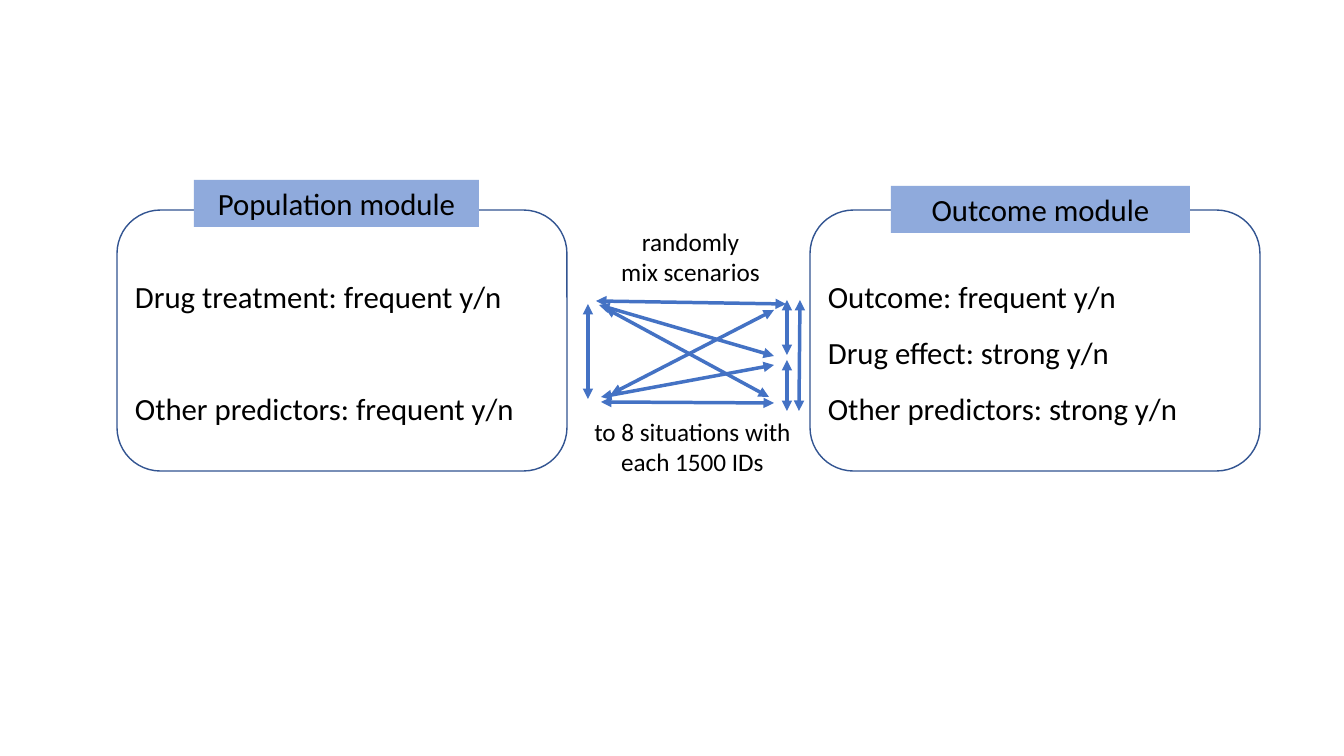
"""Build the slide showing how population and outcome modules are mixed."""
from dataclasses import dataclass

from lxml import etree
from pptx import Presentation
from pptx.dml.color import RGBColor
from pptx.enum.shapes import MSO_CONNECTOR, MSO_SHAPE
from pptx.enum.text import MSO_ANCHOR, PP_ALIGN
from pptx.oxml.ns import qn
from pptx.shapes.autoshape import Shape
from pptx.slide import Slide
from pptx.util import Emu, Pt

ROUNDED, RECTANGLE = MSO_SHAPE.ROUNDED_RECTANGLE, MSO_SHAPE.RECTANGLE
STRAIGHT = MSO_CONNECTOR.STRAIGHT
LEFT, CENTER = PP_ALIGN.LEFT, PP_ALIGN.CENTER
TOP, MIDDLE = MSO_ANCHOR.TOP, MSO_ANCHOR.MIDDLE
EMU_PER_PIXEL = 914400 / 100.8
BLANK_LAYOUT = 6
OUTLINE, HEADING_FILL, ARROW_COLOR, TEXT_COLOR = "325491", "8FAADC", "4472C4", "000000"
FRAME_TOP, FRAME_WIDTH, FRAME_HEIGHT = 210, 450, 261
ROW_TOP, ROW_STEP, ROW_HEIGHT = 273, 56, 47
ROW_INDENT, ROW_WIDTH = 8, 440


@dataclass(frozen=True)
class Box:
    """Position and size in pixels."""

    left: int
    top: int
    width: int
    height: int

    def emu(self) -> tuple[Emu, ...]:
        """Return the box in EMU."""
        return tuple(map(pixels, (self.left, self.top, self.width, self.height)))


@dataclass(frozen=True)
class Module:
    """A framed module with a heading and statements keyed by row."""

    left: int
    heading: str
    heading_box: Box
    statements: dict[int, str]


@dataclass(frozen=True)
class Caption:
    """A centred remark beside the arrows."""

    lines: tuple[str, ...]
    box: Box


@dataclass(frozen=True)
class Arrow:
    """A double-headed arrow between two points in pixels."""

    start: tuple[int, int]
    end: tuple[int, int]


MODULES = (
    Module(117, "Population module", Box(194, 180, 285, 47),
           {0: "Drug treatment: frequent y/n", 2: "Other predictors: frequent y/n"}),
    Module(810, "Outcome module", Box(891, 186, 299, 47),
           {0: "Outcome: frequent y/n", 1: "Drug effect: strong y/n",
            2: "Other predictors: strong y/n"}),
)
CAPTIONS = (
    Caption(("randomly", "mix scenarios"), Box(601, 221, 179, 72)),
    Caption(("to 8 situations with each 1500 IDs",), Box(574, 411, 237, 72)),
)
ARROWS = (
    Arrow((588, 304), (588, 399)),
    Arrow((787, 360), (787, 411)),
    Arrow((774, 310), (611, 394)),
    Arrow((787, 300), (787, 355)),
    Arrow((800, 300), (799, 411)),
    Arrow((774, 365), (601, 397)),
    Arrow((774, 403), (601, 402)),
    Arrow((786, 304), (596, 301)),
    Arrow((774, 356), (599, 305)),
    Arrow((769, 397), (605, 308)),
)


def pixels(length: int) -> Emu:
    """Convert pixels to EMU."""
    return Emu(round(length * EMU_PER_PIXEL))


def color(value: str) -> RGBColor:
    """Convert a hex string to a colour."""
    return RGBColor.from_string(value)


def apply(target: object, values: dict[str, object]) -> None:
    """Set each format value on the target."""
    for name, value in values.items():
        setattr(target, name, value)


def write(shape: Shape, lines: tuple[str, ...], size: int,
          alignment: PP_ALIGN, anchor: MSO_ANCHOR = TOP) -> None:
    """Fill the shape with one paragraph per line."""
    frame = shape.text_frame
    apply(frame, {"text": "\n".join(lines), "word_wrap": True, "vertical_anchor": anchor})
    for paragraph in frame.paragraphs:
        paragraph.alignment = alignment
        for run in paragraph.runs:
            apply(run.font, {"name": "Calibri", "size": Pt(size)})
            run.font.color.rgb = color(TEXT_COLOR)


def draw_frame(slide: Slide, module: Module) -> None:
    """Draw the rounded outline of a module."""
    box = Box(module.left, FRAME_TOP, FRAME_WIDTH, FRAME_HEIGHT)
    shape = slide.shapes.add_shape(ROUNDED, *box.emu())
    shape.shadow.inherit = False
    shape.fill.background()
    shape.line.color.rgb = color(OUTLINE)
    shape.line.width = Pt(1)


def draw_heading(slide: Slide, module: Module) -> None:
    """Draw the filled heading of a module."""
    shape = slide.shapes.add_shape(RECTANGLE, *module.heading_box.emu())
    shape.shadow.inherit = False
    shape.fill.solid()
    shape.fill.fore_color.rgb = color(HEADING_FILL)
    shape.line.fill.background()
    write(shape, (module.heading,), 22, CENTER, MIDDLE)


def draw_statements(slide: Slide, module: Module) -> None:
    """Write the statements of a module on the shared rows."""
    for row, statement in module.statements.items():
        box = Box(module.left + ROW_INDENT, ROW_TOP + row * ROW_STEP, ROW_WIDTH, ROW_HEIGHT)
        write(slide.shapes.add_textbox(*box.emu()), (statement,), 22, LEFT)


def draw_arrow(slide: Slide, arrow: Arrow) -> None:
    """Draw a connector with a triangle at both ends."""
    points = map(pixels, arrow.start + arrow.end)
    connector = slide.shapes.add_connector(STRAIGHT, *points)
    connector.line.color.rgb = color(ARROW_COLOR)
    connector.line.width = Pt(2.5)
    line = connector.line._get_or_add_ln()
    for end in ("a:headEnd", "a:tailEnd"):
        etree.SubElement(line, qn(end), type="triangle")
    etree.SubElement(connector._element.spPr, qn("a:effectLst"))


def main() -> None:
    """Build and save the presentation."""
    presentation = Presentation()
    apply(presentation, {"slide_width": pixels(1344), "slide_height": pixels(756)})
    slide = presentation.slides.add_slide(presentation.slide_layouts[BLANK_LAYOUT])
    for module in MODULES:
        draw_frame(slide, module)
        draw_heading(slide, module)
        draw_statements(slide, module)
    for arrow in ARROWS:
        draw_arrow(slide, arrow)
    for caption in CAPTIONS:
        write(slide.shapes.add_textbox(*caption.box.emu()), caption.lines, 18, CENTER)
    presentation.save("out.pptx")


main()
